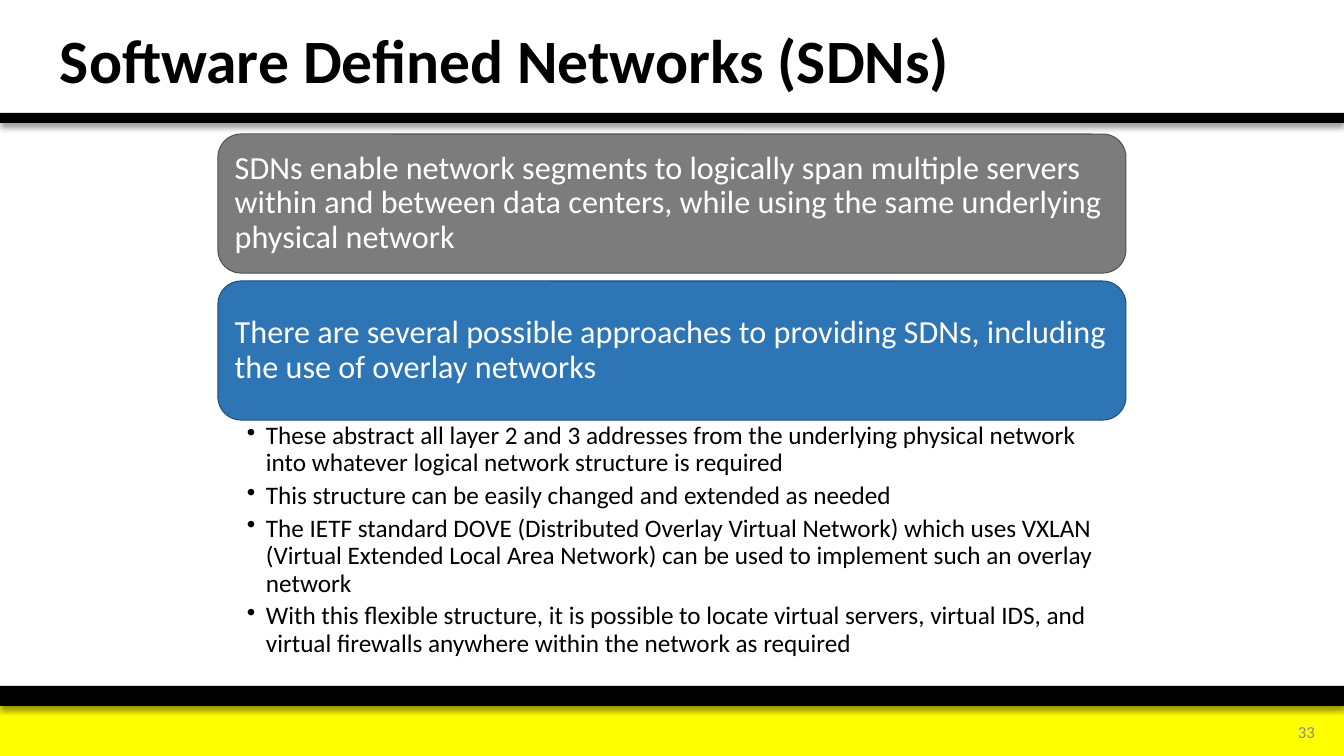
import pptx
import pptx.dml.color
import pptx.enum.shapes
import pptx.enum.text
import pptx.oxml
import pptx.oxml.ns
import pptx.util

RGBColor = pptx.dml.color.RGBColor
BLACK = RGBColor(0x00, 0x00, 0x00)
WHITE = RGBColor(0xFF, 0xFF, 0xFF)
YELLOW = RGBColor(0xFF, 0xFF, 0x00)
NUMBER_GRAY = RGBColor(0x8C, 0x8C, 0x8C)
CARD_GRAY = RGBColor(0x7C, 0x7C, 0x7C)
CARD_GRAY_EDGE = RGBColor(0x52, 0x52, 0x52)
CARD_BLUE = RGBColor(0x2E, 0x75, 0xB6)
CARD_BLUE_EDGE = RGBColor(0x1F, 0x4E, 0x79)

FONT = "Calibri"
PX_PER_INCH = 100.8
SLIDE_W, SLIDE_H = 1344, 756

ALIGN = pptx.enum.text.PP_ALIGN
ANCHOR = pptx.enum.text.MSO_ANCHOR
SHAPE = pptx.enum.shapes.MSO_SHAPE

CARDS = [
    ("SDNs enable network segments to logically span multiple servers within and "
     "between data centers, while using the same underlying physical network",
     CARD_GRAY, CARD_GRAY_EDGE),
    ("There are several possible approaches to providing SDNs, including the use "
     "of overlay networks", CARD_BLUE, CARD_BLUE_EDGE),
]
OVERLAY_POINTS = [
    "These abstract all layer 2 and 3 addresses from the underlying physical "
    "network into whatever logical network structure is required",
    "This structure can be easily changed and extended as needed",
    "The IETF standard DOVE (Distributed Overlay Virtual Network) which uses VXLAN "
    "(Virtual Extended Local Area Network) can be used to implement such an "
    "overlay network",
    "With this flexible structure, it is possible to locate virtual servers, "
    "virtual IDS, and virtual firewalls anywhere within the network as required",
]


def px(length):
    return pptx.util.Emu(round(length * 914400 / PX_PER_INCH))


def set_all(target, values):
    for name, value in values.items():
        setattr(target, name, value)


def add_block(slide, kind, box, fill):
    block = slide.shapes.add_shape(kind, *map(px, box))
    block.shadow.inherit = False
    block.fill.solid()
    block.fill.fore_color.rgb = fill
    block.line.fill.background()
    return block


def write(frame, texts, size, color, insets, anchor, bold=False, bullet=None,
          **paragraph_format):
    """Fill a text frame, one paragraph for each text."""
    sides = ("margin_left", "margin_top", "margin_right", "margin_bottom")
    set_all(frame, dict(zip(sides, map(px, insets)), word_wrap=True,
                        vertical_anchor=anchor))
    for index, text in enumerate(texts):
        paragraph = frame.paragraphs[0] if index == 0 else frame.add_paragraph()
        if bullet:
            properties = paragraph._p.get_or_add_pPr()
            properties.set("marL", str(px(19)))
            properties.set("indent", str(px(-19)))
            mark = pptx.oxml.parse_xml(
                f'<a:buChar {pptx.oxml.ns.nsdecls("a")} char="{bullet}"/>')
            properties.append(mark)
        set_all(paragraph, {"alignment": ALIGN.LEFT, **paragraph_format})
        run = paragraph.add_run()
        run.text = text
        set_all(run.font, {"name": FONT, "size": pptx.util.Pt(size), "bold": bold})
        run.font.color.rgb = color


def add_text(slide, box, texts, **style):
    write(slide.shapes.add_textbox(*map(px, box)).text_frame, texts, **style)


def add_shadowed_bar(slide, box):
    bar = add_block(slide, SHAPE.RECTANGLE, box, BLACK)
    effects = bar._element.spPr.find(pptx.oxml.ns.qn("a:effectLst"))
    effects.append(pptx.oxml.parse_xml(
        f'<a:outerShdw {pptx.oxml.ns.nsdecls("a")} blurRad="50800" dist="38100" '
        'dir="5400000" algn="t" rotWithShape="0"><a:srgbClr val="000000">'
        '<a:alpha val="40000"/></a:srgbClr></a:outerShdw>'))


def add_footer(slide, left, top, width, height):
    bar_height = 20
    add_block(slide, SHAPE.RECTANGLE,
              (left, top + bar_height, width, height - bar_height), YELLOW)
    add_shadowed_bar(slide, (left, top, width, bar_height))
    add_text(slide, (left + width - 96, top + 26, 77, 40), ["33"], size=12,
             color=NUMBER_GRAY, insets=(10, 5, 10, 5), anchor=ANCHOR.MIDDLE,
             alignment=ALIGN.RIGHT)


def add_header(slide, left, top, width, height):
    bar_height = 10
    add_shadowed_bar(slide, (left, top + height - bar_height, width, bar_height))
    add_text(slide, (left + 50, top + 7, 1055, 113),
             ["Software Defined Networks (SDNs)"], size=44, color=BLACK, bold=True,
             insets=(10, 5, 10, 5), anchor=ANCHOR.MIDDLE, line_spacing=0.9)


def add_body(slide, left, top, width, height):
    card_height, gap = 139, 8
    pitch = card_height + gap
    # Statement cards
    for index, (statement, fill, edge) in enumerate(CARDS):
        card = add_block(slide, SHAPE.ROUNDED_RECTANGLE,
                         (left, top + index * pitch, width, card_height), fill)
        card.line.color.rgb = edge
        card.line.width = pptx.util.Pt(0.75)
        write(card.text_frame, [statement], size=23, color=WHITE,
              insets=(10, 10, 10, 10), anchor=ANCHOR.MIDDLE, line_spacing=0.9)
    # Points under the last card
    points_top = len(CARDS) * pitch - gap
    add_text(slide, (left, top + points_top, width, height - points_top),
             OVERLAY_POINTS, size=18, color=BLACK, insets=(29, 3, 18, 3),
             anchor=ANCHOR.TOP, bullet="•", line_spacing=0.9,
             space_after=pptx.util.Pt(4))


def main():
    deck = pptx.Presentation()
    set_all(deck, {"slide_width": px(SLIDE_W), "slide_height": px(SLIDE_H)})
    slide = deck.slides.add_slide(deck.slide_layouts[6])
    add_footer(slide, 0, 686, SLIDE_W, 70)
    add_header(slide, 0, 0, SLIDE_W, 123)
    add_body(slide, 218, 134, 908, 533)
    deck.save("out.pptx")


if __name__ == "__main__":
    main()
